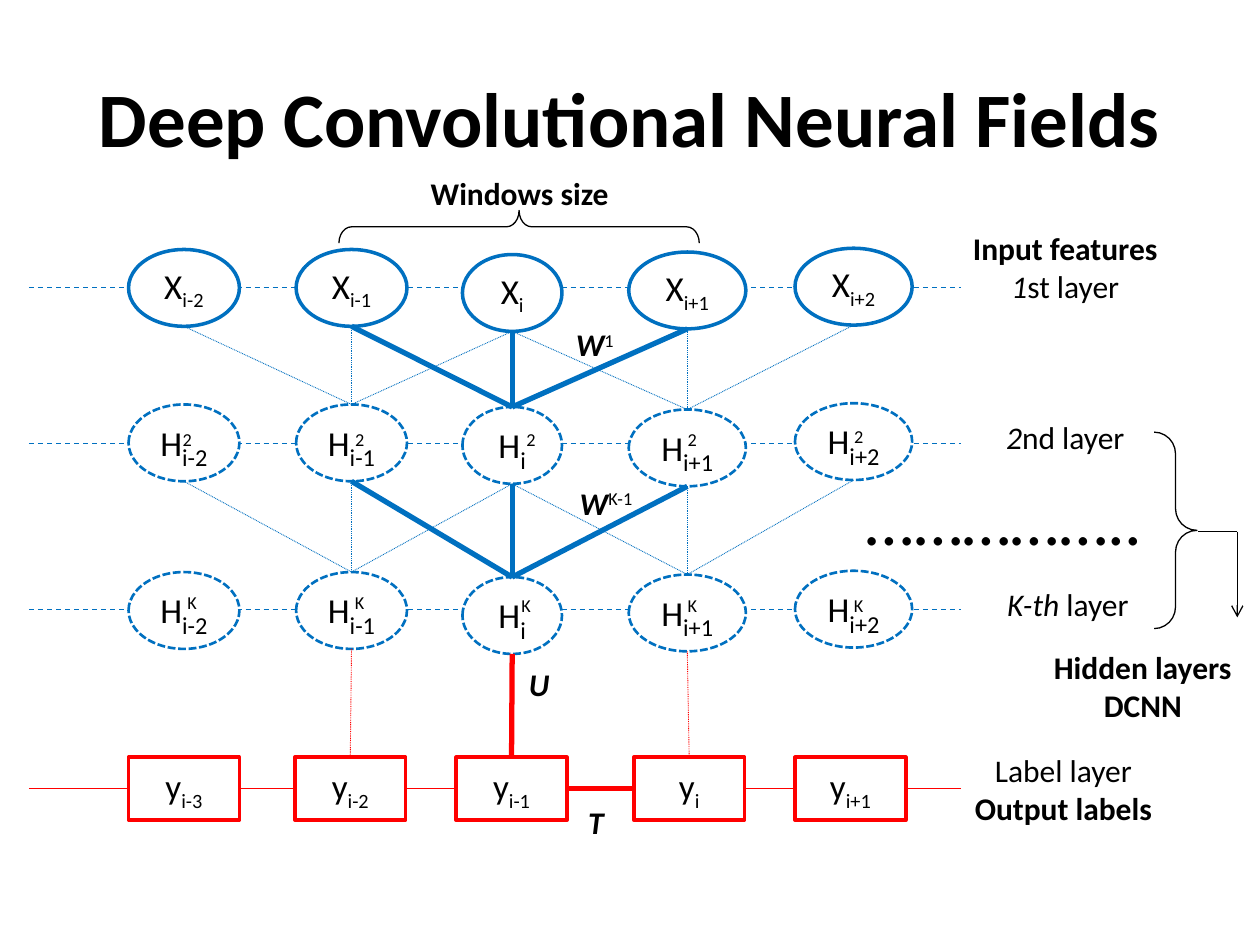
from dataclasses import dataclass, field
from typing import NamedTuple

import lxml.etree
import pptx
import pptx.dml.color
import pptx.enum.dml
import pptx.enum.shapes
import pptx.enum.text
import pptx.oxml.ns
import pptx.slide
import pptx.util

Inches = pptx.util.Inches
Kind = pptx.enum.shapes.MSO_SHAPE
Dash = pptx.enum.dml.MSO_LINE


@dataclass(frozen=True)
class Theme:
    font: str = "Calibri"
    black: str = "000000"
    white: str = "FFFFFF"
    blue: str = "0070C0"
    red: str = "FF0000"
    title: int = 44
    dots: int = 40
    subscript: int = 24
    node: int = 20
    label: int = 18


THEME = Theme()
BOLD = {"bold": True}
ITALIC = {"italic": True}
BOLD_ITALIC = {**BOLD, **ITALIC}


class Stroke(NamedTuple):
    color: str
    width: float
    dash: object = None


class TextRun(NamedTuple):
    text: str
    size: int = THEME.label
    format: dict = {}
    baseline: int = 0


class Label(NamedTuple):
    box: tuple
    lines: list
    wrap: bool = True


@dataclass
class Node:
    left: float
    top: float
    width: float
    height: float
    index: str

    @property
    def center(self) -> float:
        return self.left + self.width / 2

    @property
    def bottom(self) -> float:
        return self.top + self.height


@dataclass
class Layer:
    symbol: str
    tops: list
    axis: float
    outline: Stroke
    axis_stroke: Stroke
    kind: object = Kind.OVAL
    height: float = 0.61
    subscript: int = THEME.subscript
    indices: tuple = ("i-2", "i-1", "i", "i+1", "i+2")
    lefts: tuple = (1.02, 2.35, 3.67, 4.99, 6.31)
    widths: tuple = (0.88, 0.88, 0.79, 0.93, 0.93)
    power: str = ""
    power_spots: list = field(default_factory=list)

    def nodes(self) -> list:
        columns = zip(self.lefts, self.tops, self.widths, self.indices)
        return [Node(left, top, width, self.height, index) for left, top, width, index in columns]


BLUE_AXIS = Stroke(THEME.blue, 0.75, Dash.DASH)
RED_AXIS = Stroke(THEME.red, 0.75)
HIDDEN = Stroke(THEME.blue, 1.5, Dash.SQUARE_DOT)
THIN_BLACK = Stroke(THEME.black, 0.75)

LAYERS = [
    Layer("X", [1.98, 1.98, 2.02, 2, 1.97], 2.28, Stroke(THEME.blue, 2), BLUE_AXIS,
          subscript=THEME.node),
    Layer("H", [3.21, 3.21, 3.23, 3.25, 3.2], 3.52, HIDDEN, BLUE_AXIS, power="2",
          power_spots=[(1.24, 3.25), (2.61, 3.25), (3.97, 3.25), (5.25, 3.25), (6.57, 3.23)]),
    Layer("H", [4.54, 4.54, 4.58, 4.56, 4.53], 4.84, HIDDEN, BLUE_AXIS, power="K",
          power_spots=[(1.28, 4.55), (2.61, 4.55), (3.93, 4.57), (5.25, 4.57), (6.57, 4.57)]),
    Layer("y", [6.01] * 5, 6.26, Stroke(THEME.red, 2), RED_AXIS, Kind.RECTANGLE, 0.5,
          THEME.node, ("i-3", "i-2", "i-1", "i", "i+1"),
          (1.02, 2.34, 3.62, 5.03, 6.31), (0.88,) * 5),
]

LABELS = [
    Label((3.05, 1.22, 2.15, 0.62), [[TextRun("Windows size", format=BOLD)]]),
    Label((7.4, 1.81, 2.11, 0.62), [[TextRun("Input features", format=BOLD)],
                                    [TextRun("1", format=ITALIC), TextRun("st layer")]]),
    Label((7.75, 3.16, 1.41, 0.62), [[TextRun("2", format=ITALIC), TextRun("nd layer")]]),
    Label((7.7, 4.48, 1.55, 0.62), [[TextRun("K-th", format=ITALIC), TextRun(" layer")]]),
    Label((6.31, 3.69, 3.32, 0.84), [[TextRun("……………..", THEME.dots)]]),
    Label((8.26, 5.09, 1.62, 0.71), [[TextRun("Hidden layers", format=BOLD)],
                                     [TextRun("DCNN", format=BOLD)]], False),
    Label((7.4, 5.95, 2.08, 0.62), [[TextRun("Label layer")],
                                    [TextRun("Output labels", format=BOLD)]]),
    Label((4.28, 2.51, 0.88, 0.44), [[TextRun("W", format=BOLD_ITALIC),
                                      TextRun("1", baseline=30)]]),
    Label((4.37, 3.77, 0.88, 0.44), [[TextRun("W", format=BOLD_ITALIC),
                                      TextRun("K-1", baseline=30)]]),
    Label((3.93, 5.21, 0.7, 0.44), [[TextRun("U", format=BOLD_ITALIC)]]),
    Label((4.38, 6.3, 0.7, 0.44), [[TextRun("T", format=BOLD_ITALIC)]]),
]


def write_text(shape, lines: list, wrap: bool = True) -> None:
    frame = shape.text_frame
    frame.word_wrap = wrap
    frame.vertical_anchor = pptx.enum.text.MSO_ANCHOR.MIDDLE
    for number, line in enumerate(lines):
        paragraph = frame.add_paragraph() if number else frame.paragraphs[0]
        paragraph.alignment = pptx.enum.text.PP_ALIGN.CENTER
        for part in line:
            run = paragraph.add_run()
            run.text = part.text
            values = {"name": THEME.font, "size": pptx.util.Pt(part.size), **part.format}
            for name, value in values.items():
                setattr(run.font, name, value)
            run.font.color.rgb = pptx.dml.color.RGBColor.from_string(THEME.black)
            if part.baseline:
                run._r.get_or_add_rPr().set("baseline", str(part.baseline * 1000))


def apply_stroke(line, stroke: Stroke) -> None:
    line.color.rgb = pptx.dml.color.RGBColor.from_string(stroke.color)
    line.width = pptx.util.Pt(stroke.width)
    if stroke.dash:
        line.dash_style = stroke.dash


def draw_line(slide: pptx.slide.Slide, start: tuple, end: tuple, stroke: Stroke,
              arrow: bool = False) -> None:
    connector = slide.shapes.add_connector(
        pptx.enum.shapes.MSO_CONNECTOR.STRAIGHT, *map(Inches, start + end))
    apply_stroke(connector.line, stroke)
    qualified = pptx.oxml.ns.qn
    if arrow:
        outline = connector.line._get_or_add_ln()
        lxml.etree.SubElement(outline, qualified("a:tailEnd"), type="arrow")
    lxml.etree.SubElement(connector._element.spPr, qualified("a:effectLst"))


def draw_label(slide: pptx.slide.Slide, label: Label) -> None:
    write_text(slide.shapes.add_textbox(*map(Inches, label.box)), label.lines, label.wrap)


def draw_layer(slide: pptx.slide.Slide, layer: Layer) -> None:
    draw_line(slide, (0.23, layer.axis), (7.63, layer.axis), layer.axis_stroke)
    for node in layer.nodes():
        box = (node.left, node.top, node.width, node.height)
        shape = slide.shapes.add_shape(layer.kind, *map(Inches, box))
        shape.shadow.inherit = False
        shape.fill.solid()
        shape.fill.fore_color.rgb = pptx.dml.color.RGBColor.from_string(THEME.white)
        apply_stroke(shape.line, layer.outline)
        write_text(shape, [[TextRun(layer.symbol, THEME.node),
                            TextRun(node.index, layer.subscript, baseline=-25)]], False)
    for spot in layer.power_spots:
        draw_label(slide, Label((*spot, 0.49, 0.53), [[TextRun(layer.power, baseline=30)]]))


def draw_links(slide: pptx.slide.Slide, upper: Layer, lower: Layer, reach: int,
               color: str) -> None:
    sources, targets = upper.nodes(), lower.nodes()
    for column in (1, 2, 3):
        stroke = Stroke(color, 3) if column == 2 else Stroke(color, 0.5, Dash.ROUND_DOT)
        for source in sources[column - reach:column + reach + 1]:
            target = targets[column]
            draw_line(slide, (source.center, source.bottom), (target.center, target.top), stroke)


def draw_brace(slide: pptx.slide.Slide, box: tuple, bend: float, rotation: int = 0) -> None:
    brace = slide.shapes.add_shape(Kind.RIGHT_BRACE, *map(Inches, box))
    brace.shadow.inherit = False
    brace.fill.background()
    brace.adjustments[0] = bend
    brace.rotation = rotation
    apply_stroke(brace.line, THIN_BLACK)


def main() -> None:
    presentation = pptx.Presentation()
    presentation.slide_width, presentation.slide_height = Inches(10), Inches(7.5)
    slide = presentation.slides.add_slide(presentation.slide_layouts[5])
    title = slide.shapes.title
    placement = {"left": 0.5, "top": 0.3, "width": 9, "height": 1.25}
    for name, value in placement.items():
        setattr(title, name, Inches(value))
    write_text(title, [[TextRun("Deep Convolutional Neural Fields", THEME.title, BOLD)]])

    for layer in LAYERS:
        draw_layer(slide, layer)
    features, second, last, outputs = LAYERS
    draw_links(slide, features, second, 1, THEME.blue)
    draw_links(slide, second, last, 1, THEME.blue)
    draw_links(slide, last, outputs, 0, THEME.red)
    nodes = outputs.nodes()
    for column, (node, following) in enumerate(zip(nodes, nodes[1:])):
        draw_line(slide, (node.left + node.width, outputs.axis), (following.left, outputs.axis),
                  Stroke(THEME.red, 3) if column == 2 else RED_AXIS)

    draw_brace(slide, (3.99, 0.37, 0.26, 2.86), 0.386, 270)
    draw_brace(slide, (9.16, 3.43, 0.34, 1.56), 0.507)
    draw_line(slide, (9.51, 4.22), (9.82, 4.22), THIN_BLACK)
    draw_line(slide, (9.82, 4.22), (9.82, 4.9), THIN_BLACK, arrow=True)
    for label in LABELS:
        draw_label(slide, label)
    presentation.save("out.pptx")


if __name__ == "__main__":
    main()
